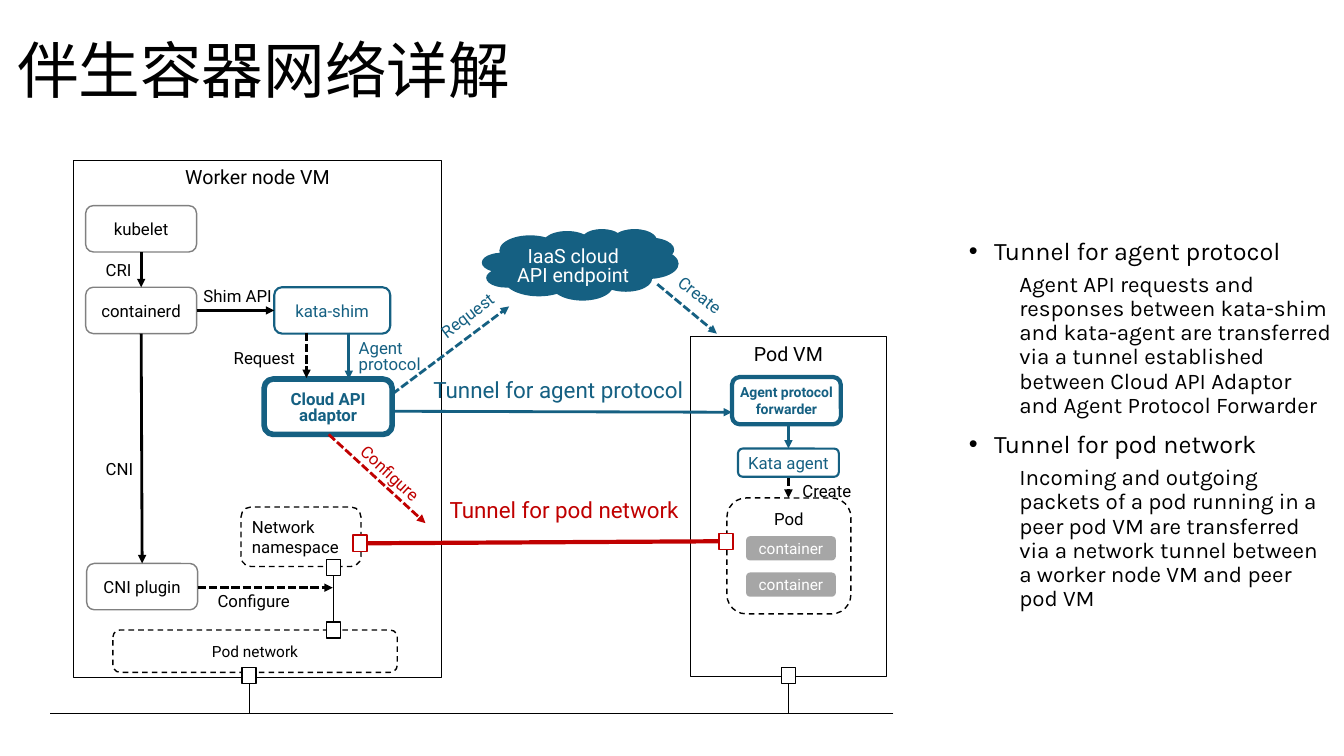
from dataclasses import dataclass

from pptx import Presentation
from pptx import util as u
from pptx.dml.color import RGBColor
from pptx.enum import dml, shapes, text
from pptx.oxml import parse_xml
from pptx.oxml.ns import nsdecls, qn

TITLE = "伴生容器网络详解"
TUNNELS = [
    ("Tunnel for agent protocol",
     "Agent API requests and responses between kata-shim and kata-agent are transferred "
     "via a tunnel established between Cloud API Adaptor and Agent Protocol Forwarder"),
    ("Tunnel for pod network",
     "Incoming and outgoing packets of a pod running in a peer pod VM are transferred "
     "via a network tunnel between a worker node VM and peer pod VM"),
]


@dataclass(frozen=True)
class Theme:
    black: str = "000000"
    white: str = "FFFFFF"
    gray: str = "808080"
    silver: str = "A6A6A6"
    blue: str = "156082"
    red: str = "C00000"
    diagram_font: str = "Roboto"
    body_font: str = "Karla"
    title: int = 44
    heading: int = 18
    detail: int = 16
    tunnel: int = 16
    panel: int = 14
    label: int = 12
    small: int = 11
    tiny: int = 10


T = Theme()
PX = 9144  # 100 px to the inch
TOP, MIDDLE = text.MSO_ANCHOR.TOP, text.MSO_ANCHOR.MIDDLE
LEFT, CENTER = text.PP_ALIGN.LEFT, text.PP_ALIGN.CENTER
PLAIN, TIGHT, FLAT = (10, 5, 10, 5), (0, 4, 0, 0), (0, 0, 0, 0)
RECT = shapes.MSO_SHAPE.RECTANGLE
ROUND = shapes.MSO_SHAPE.ROUNDED_RECTANGLE
CLOUD = shapes.MSO_SHAPE.CLOUD_CALLOUT

# Box styles: geometry, line, text and spacing
STYLES = {
    "panel": dict(kind=RECT, fill=T.white, line=T.black, size=T.panel, anchor=TOP),
    "zone": dict(line=T.black, dashed=True, size=T.small),
    "namespace": dict(line=T.black, dashed=True, align=LEFT, insets=(8, 5, 12, 5)),
    "pod": dict(line=T.black, dashed=True, anchor=TOP),
    "service": dict(line=T.gray, insets=TIGHT, spacing=0.8),
    "kata": dict(line=T.blue, weight=1.5, color=T.blue, insets=TIGHT, spacing=0.8),
    "adaptor": dict(line=T.blue, weight=4, color=T.blue, bold=True, insets=TIGHT, spacing=0.8),
    "forwarder": dict(line=T.blue, weight=3, color=T.blue, bold=True, size=T.tiny, insets=FLAT),
    "container": dict(fill=T.silver, color=T.white, size=T.small, insets=FLAT),
    "cloud": dict(kind=CLOUD, fill=T.blue, color=T.white, size=T.panel,
                  insets=(0, 8, 0, 0), spacing=0.8),
}
# style, words, left, top, width, height
BOXES = [
    ("panel", "Worker node VM", 73, 159, 365, 513),
    ("panel", "Pod VM", 685, 334, 194, 337),
    ("namespace", "Network namespace", 239, 503, 119, 59),
    ("zone", "Pod network", 112, 625, 282, 42),
    ("service", "kubelet", 85, 204, 110, 46),
    ("service", "containerd", 85, 285, 110, 46),
    ("service", "CNI plugin", 86, 559, 110, 46),
    ("kata", "kata-shim", 272, 285, 115, 46),
    ("adaptor", "Cloud API adaptor", 262, 376, 127, 55),
    ("cloud", "IaaS cloud\nAPI endpoint", 478, 227, 195, 71),
    ("forwarder", "Agent protocol forwarder", 726, 374, 108, 47),
    ("kata", "Kata agent", 732, 445, 100, 28),
    ("pod", "Pod", 721, 494, 123, 115),
] + [("container", "container", 740, 532 + 36 * row, 89, 24) for row in range(2)]

PORT_SIZE = (14, 16)
PORTS = [(324, 617, T.black), (324, 555, T.black), (240, 662, T.black), (775, 662, T.black),
         (350, 531, T.red), (713, 529, T.red)]

# start x, y, end x, y, colour
WIRES = [(331, 617, 331, 570, T.black), (886, 708, 50, 708, T.black),
         (247, 708, 247, 678, T.black), (782, 708, 782, 677, T.black)]
ARROWS = [(140, 250, 140, 285, T.black), (195, 308, 272, 308, T.black),
          (140, 331, 141, 559, T.black), (389, 408, 726, 409, T.blue),
          (346, 330, 346, 376, T.blue), (782, 422, 782, 445, T.blue)]
DASHED_ARROWS = [(304, 330, 304, 375, T.black), (196, 583, 330, 583, T.black),
                 (389, 391, 505, 304, T.blue), (326, 431, 422, 519, T.red),
                 (782, 474, 782, 494, T.black), (652, 282, 711, 331, T.blue)]
POD_TUNNEL = (713, 537, 364, 539, T.red)

# words, left, top, width, colour, rotation
LABELS = [
    ("CRI", 95, 253, 48, T.black, 0),
    ("Shim API", 192, 279, 90, T.black, 0),
    ("CNI", 95, 450, 49, T.black, 0),
    ("Configure", 206, 581, 93, T.black, 0),
    ("Request", 222, 340, 83, T.black, 0),
    ("Create", 786, 472, 70, T.black, 0),
    ("Configure", 341, 455, 93, T.red, 42.7),
    ("Request", 423, 297, 83, T.blue, 322.9),
    ("Create", 660, 278, 70, T.blue, 37.5),
]
TUNNEL_LABELS = [("Tunnel for pod network", 436, 487, 255, T.red),
                 ("Tunnel for agent protocol", 420, 368, 275, T.blue)]


def place(shape, *bounds):
    shape.left, shape.top, shape.width, shape.height = (v * PX for v in bounds)


def style_font(para, size, color, name=T.diagram_font, bold=False):
    for span in para.runs:
        span.font.size, span.font.bold, span.font.name = u.Pt(size), bold, name
        span.font.color.rgb = RGBColor.from_string(color)


def write(shape, words, color=T.black, size=T.label, align=CENTER, anchor=MIDDLE,
          insets=PLAIN, spacing=1.0, bold=False, wrap=True):
    frame = shape.text_frame
    frame.text = words
    frame.word_wrap, frame.vertical_anchor = wrap, anchor
    frame.margin_left, frame.margin_top, frame.margin_right, frame.margin_bottom = (
        v * PX for v in insets)
    for para in frame.paragraphs:
        para.alignment, para.line_spacing = align, spacing
        style_font(para, size, color, bold=bold)


def outline(line, color, weight, dash=None):
    line.fill.solid()
    line.fill.fore_color.rgb = RGBColor.from_string(color)
    line.width = u.Pt(weight)
    if dash:
        line.dash_style = dash


def add_box(page, bounds, kind=ROUND, fill=None, line=None, weight=1, dashed=False):
    box = page.shapes.add_shape(kind, *(v * PX for v in bounds))
    box.shadow.inherit = False
    if fill:
        box.fill.solid()
        box.fill.fore_color.rgb = RGBColor.from_string(fill)
    else:
        box.fill.background()
    if line:
        outline(box.line, line, weight, dml.MSO_LINE.DASH if dashed else None)
    else:
        box.line.fill.background()
    return box


def add_node(page, style, words, *bounds):
    shape_keys = {"kind", "fill", "line", "weight", "dashed"}
    look = STYLES[style]
    box = add_box(page, bounds, **{k: v for k, v in look.items() if k in shape_keys})
    if style == "cloud":  # keeps the callout tail inside the cloud
        box.adjustments[0], box.adjustments[1] = 0.183, -0.024
    write(box, words, **{k: v for k, v in look.items() if k not in shape_keys})


def add_line(page, route, weight, dash=None, arrow=False):
    *ends, color = route
    line = page.shapes.add_connector(shapes.MSO_CONNECTOR.STRAIGHT, *(v * PX for v in ends))
    outline(line.line, color, weight, dash)
    props = line._element.spPr
    if arrow:
        props.find(qn("a:ln")).append(
            parse_xml(f'<a:tailEnd {nsdecls("a")} type="triangle"/>'))
    props.append(parse_xml(f'<a:effectLst {nsdecls("a")}/>'))


def add_label(page, words, bounds, rotation=0, **look):
    box = page.shapes.add_textbox(*(v * PX for v in bounds))
    box.rotation = rotation
    write(box, words, align=LEFT, anchor=TOP, **look)


def fill_title(title):
    place(title, 7, 0, 1150, 145)
    write(title, TITLE, size=T.title, align=LEFT, spacing=0.9)
    style_font(title.text_frame.paragraphs[0], T.title, T.black, T.body_font)


def fill_body(body):
    place(body, 951, 232, 380, 423)
    frame = body.text_frame
    frame.auto_size = text.MSO_AUTO_SIZE.NONE
    frame.text = "\n".join(line for tunnel in TUNNELS for line in tunnel)
    for index, para in enumerate(frame.paragraphs):
        para.level = index % 2
        margin, indent, bullet, size, before = (
            (50, 0, "<a:buNone {}/>", T.detail, 5) if para.level
            else (25, -25, '<a:buChar {} char="•"/>', T.heading, 10))
        para.line_spacing, para.space_before = 0.9, u.Pt(before if index else 0)
        props = para._p.get_or_add_pPr()
        props.set("marL", str(margin * PX))
        props.set("indent", str(indent * PX))
        props.append(parse_xml(bullet.format(nsdecls("a"))))
        style_font(para, size, T.black, T.body_font)


def main():
    deck = Presentation()
    deck.slide_width, deck.slide_height = 1333 * PX, 750 * PX
    page = deck.slides.add_slide(deck.slide_layouts[1])
    fill_title(page.shapes.title)
    fill_body(page.placeholders[1])
    for node in BOXES:
        add_node(page, *node)
    for route in WIRES:
        add_line(page, route, 0.5)
    for route in ARROWS:
        add_line(page, route, 2, arrow=True)
    for route in DASHED_ARROWS:
        add_line(page, route, 2, dml.MSO_LINE.SQUARE_DOT, arrow=True)
    add_line(page, POD_TUNNEL, 3)
    for left, top, color in PORTS:
        add_box(page, (left, top, *PORT_SIZE), RECT, T.white, color)
    for words, left, top, width, color, rotation in LABELS:
        add_label(page, words, (left, top, width, 30), rotation, color=color, wrap=False)
    for words, left, top, width, color in TUNNEL_LABELS:
        add_label(page, words, (left, top, width, 37), color=color, size=T.tunnel, wrap=False)
    add_label(page, "Agent protocol", (346, 334, 86, 43), color=T.blue, spacing=0.8)
    deck.save("out.pptx")


if __name__ == "__main__":
    main()
